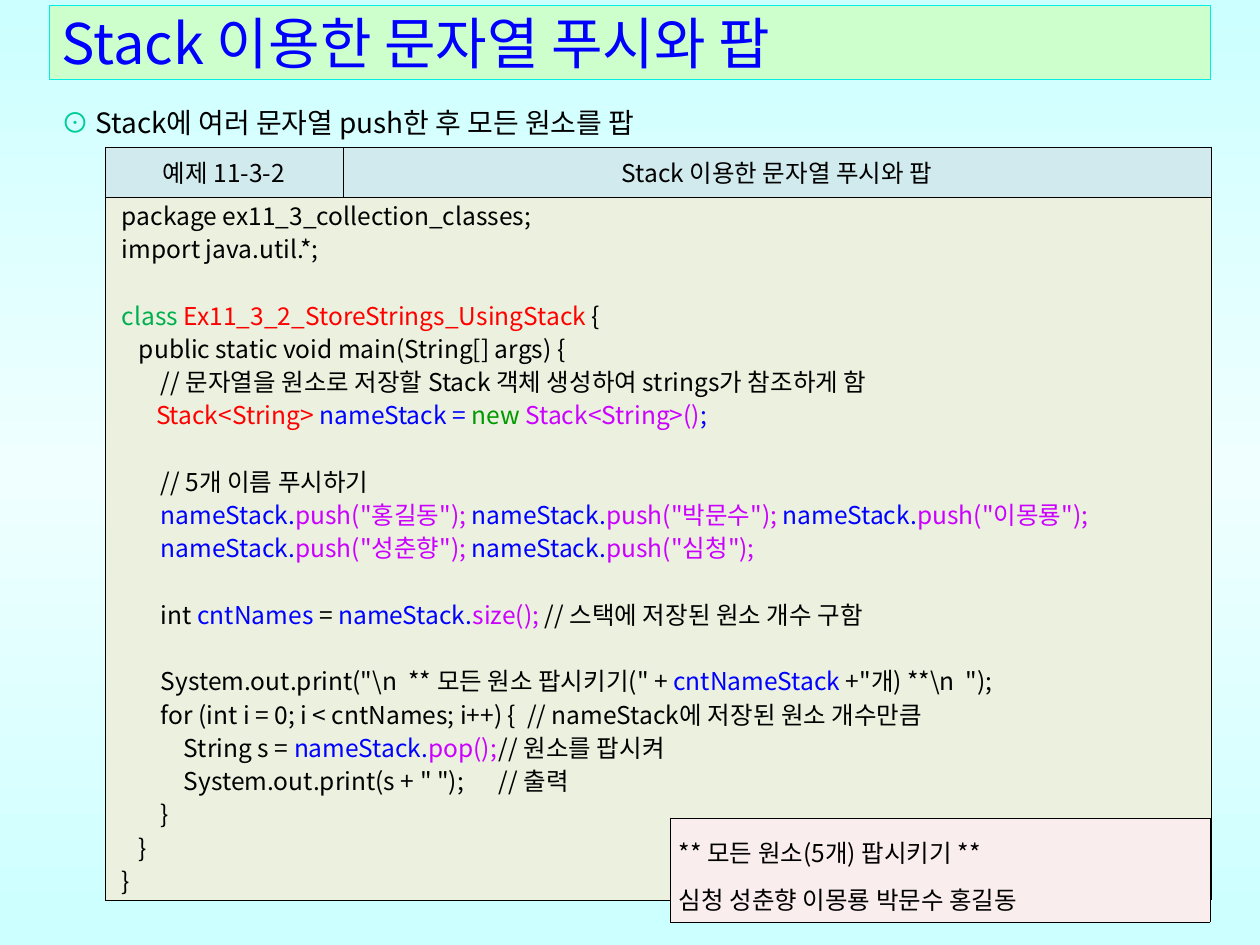
from copy import deepcopy
from pptx import Presentation
from pptx.dml.color import RGBColor
from pptx.enum.text import MSO_ANCHOR as Anchor, PP_ALIGN as Align
from pptx.oxml import parse_xml
from pptx.oxml.ns import nsdecls, qn
from pptx.util import Emu, Pt

SCALE = 914400 / 126
FONT = "Noto Sans CJK KR"
COLORS = {
    "sky": "CCFFFF", "pale": "F0FFFF", "mint": "CCFFCC", "aqua": "03EDE2",
    "bullet": "00CC99", "header": "D0EAED", "code": "EBF1DE", "output": "F9EDED",
    "black": "000000", "blue": "0000FF", "red": "FF0000", "purple": "CC00FF",
    "green": "00B050", "keyword": "009900",
}
HEADING = "Stack 이용한 문자열 푸시와 팝"
LINE_HEIGHT = Pt(19)
SPACE_WIDTH = 5.6
COMMENT_STOP = 420


def push(*names):
    """Return the runs that push each name onto the stack."""
    calls = [f'push("{name}");' for name in names]
    calls[:-1] = [call + " " for call in calls[:-1]]
    return [run for call in calls for run in (("nameStack.", "blue"), (call, "purple"))]


CODE = [
    (0, 0, [("package ex11_3_collection_classes;", "black")]),
    (0, 0, [("import java.util.*;", "black")]),
    (0, 1, [("class", "green"), (" Ex11_3_2_StoreStrings_UsingStack ", "red"), ("{", "black")]),
    (3, 0, [("public static void main(String[] args) {", "black")]),
    (7, 0, [("// 문자열을 원소로 저장할 Stack 객체 생성하여 strings가 참조하게 함", "black")]),
    (6, 0, [("Stack<String> ", "red"), ("nameStack = ", "blue"), ("new ", "keyword"),
            ("Stack<String>()", "purple"), (";", "blue")]),
    (7, 1, [("// 5개 이름 푸시하기", "black")]),
    (7, 0, push("홍길동", "박문수", "이몽룡")),
    (7, 0, push("성춘향", "심청")),
    (7, 1, [("int ", "black"), ("cntNames", "blue"), (" = ", "black"), ("nameStack.", "blue"),
            ("size(); ", "purple"), ("// 스택에 저장된 원소 개수 구함", "black")]),
    (7, 1, [('System.out.print("\\n  ** 모든 원소 팝시키기(" + ', "black"),
            ("cntNameStack", "blue"), (' +"개) **\\n  ");', "black")]),
    (7, 0, [("for (int i = 0; i < cntNames; i++) {  // nameStack에 저장된 원소 개수만큼", "black")]),
    (11, 0, [("String s = ", "black"), ("nameStack.", "blue"), ("pop();", "purple"),
             ("\t// 원소를 팝시켜", "black")]),
    (11, 0, [('System.out.print(s + " ");\t// 출력', "black")]),
    (7, 0, [("}", "black")]),
    (3, 0, [("}", "black")]),
    (0, 0, [("}", "black")]),
]


def px(value):
    """Turn pixels into EMU."""
    return Emu(round(value * SCALE))


def rgb(name):
    """Look up a named colour."""
    return RGBColor.from_string(COLORS[name])


def write(paragraph, runs, size):
    """Add coloured runs to a paragraph."""
    for text, color in runs:
        run = paragraph.add_run()
        run.text = text
        run.font.size = Pt(size)
        run.font.name = FONT
        run.font.color.rgb = rgb(color)
        run.font._element.append(parse_xml(f'<a:ea {nsdecls("a")} typeface="{FONT}"/>'))


def paragraphs_of(text_frame, count):
    """Return the first paragraph and as many new ones as are needed."""
    return [text_frame.paragraphs[0]] + [text_frame.add_paragraph() for _ in range(count - 1)]


def style_cell(cell, color):
    """Give a cell its margins, black borders and fill."""
    cell.margin_left = cell.margin_right = px(9)
    cell.margin_top = cell.margin_bottom = px(2)
    cell.vertical_anchor = Anchor.MIDDLE
    properties = cell._tc.get_or_add_tcPr()
    for side in ("lnL", "lnR", "lnT", "lnB"):
        properties.append(parse_xml(
            f'<a:{side} {nsdecls("a")} w="3556"><a:solidFill>'
            f'<a:srgbClr val="{COLORS["black"]}"/></a:solidFill></a:{side}>'))
    cell.fill.solid()
    cell.fill.fore_color.rgb = rgb(color)


def add_grid(slide, left, top, widths, heights):
    """Add a table with the given column widths and row heights."""
    frame = slide.shapes.add_table(len(heights), len(widths), px(left), px(top),
                                   px(sum(widths)), px(sum(heights)))
    table = frame.table
    table.first_row = table.horz_banding = False
    for column, width in zip(table.columns, widths):
        column.width = px(width)
    for row, height in zip(table.rows, heights):
        row.height = px(height)
    return table


def paint_background(slide):
    """Fill the slide with a vertical three-stop gradient."""
    fill = slide.background.fill
    fill.gradient()
    fill.gradient_angle = 90
    stop_list = next(slide._element.iter(qn("a:gsLst")))
    stop_list.append(deepcopy(stop_list[0]))
    for stop, color, position in zip(fill.gradient_stops, ("sky", "pale", "sky"), (0, 0.5, 1)):
        stop.color.rgb = rgb(color)
        stop.position = position


def place_title(slide, left, top, width, height):
    """Place and format the title bar."""
    title = slide.shapes.title
    title.left, title.top, title.width, title.height = map(px, (left, top, width, height))
    title.fill.solid()
    title.fill.fore_color.rgb = rgb("mint")
    title.line.color.rgb = rgb("aqua")
    title.line.width = Pt(0.25)
    title.text_frame.vertical_anchor = Anchor.MIDDLE
    paragraph = title.text_frame.paragraphs[0]
    paragraph.alignment = Align.LEFT
    write(paragraph, [(HEADING, "blue")], 32)


def add_summary(slide, left, top, width, height):
    """Add the bulleted sentence under the title."""
    text_frame = slide.shapes.add_textbox(*map(px, (left, top, width, height))).text_frame
    text_frame.word_wrap = True
    paragraph = text_frame.paragraphs[0]
    paragraph.alignment = Align.JUSTIFY
    paragraph.line_spacing = 1.5
    write(paragraph, [("⊙ ", "bullet"),
                      ("Stack에 여러 문자열 push한 후 모든 원소를 팝", "black")], 16)


def add_listing(slide, left, top, widths, heights):
    """Add the example table with its header row and code."""
    table = add_grid(slide, left, top, widths, heights)
    table.cell(1, 0).merge(table.cell(1, 1))
    for column, label in enumerate(("예제 11-3-2", HEADING)):
        cell = table.cell(0, column)
        style_cell(cell, "header")
        style_cell(table.cell(1, column), "code")
        paragraph = cell.text_frame.paragraphs[0]
        paragraph.alignment = Align.CENTER
        write(paragraph, [(label, "black")], 14)
    text_frame = table.cell(1, 0).text_frame
    for paragraph, (indent, gap, runs) in zip(paragraphs_of(text_frame, len(CODE)), CODE):
        margin = 8 + round(indent * SPACE_WIDTH)
        paragraph.alignment = Align.JUSTIFY
        paragraph.line_spacing = LINE_HEIGHT
        paragraph.space_before = LINE_HEIGHT * gap
        properties = paragraph._p.get_or_add_pPr()
        properties.set("marL", str(px(margin)))
        properties.set("indent", "0")
        if any("\t" in text for text, _ in runs):
            properties.append(parse_xml(
                f'<a:tabLst {nsdecls("a")}><a:tab pos="{px(COMMENT_STOP)}" algn="l"/></a:tabLst>'))
        write(paragraph, runs, 14)


def add_output(slide, left, top, width, height):
    """Add the box with the program output."""
    cell = add_grid(slide, left, top, [width], [height]).cell(0, 0)
    style_cell(cell, "output")
    lines = ("** 모든 원소(5개) 팝시키기 **", "심청 성춘향 이몽룡 박문수 홍길동")
    for paragraph, line in zip(paragraphs_of(cell.text_frame, len(lines)), lines):
        paragraph.line_spacing = 1.3
        write(paragraph, [(line, "black")], 14)


def build_slide(presentation):
    """Build the stack example slide."""
    slide = presentation.slides.add_slide(presentation.slide_layouts[5])
    paint_background(slide)
    place_title(slide, 49, 5, 1161, 74)
    add_summary(slide, 49, 83, 1161, 63)
    add_listing(slide, 105, 147, [238, 868], [50, 703])
    add_output(slide, 670, 818, 540, 104)


presentation = Presentation()
presentation.slide_width, presentation.slide_height = px(1260), px(945)
build_slide(presentation)
presentation.save("out.pptx")
